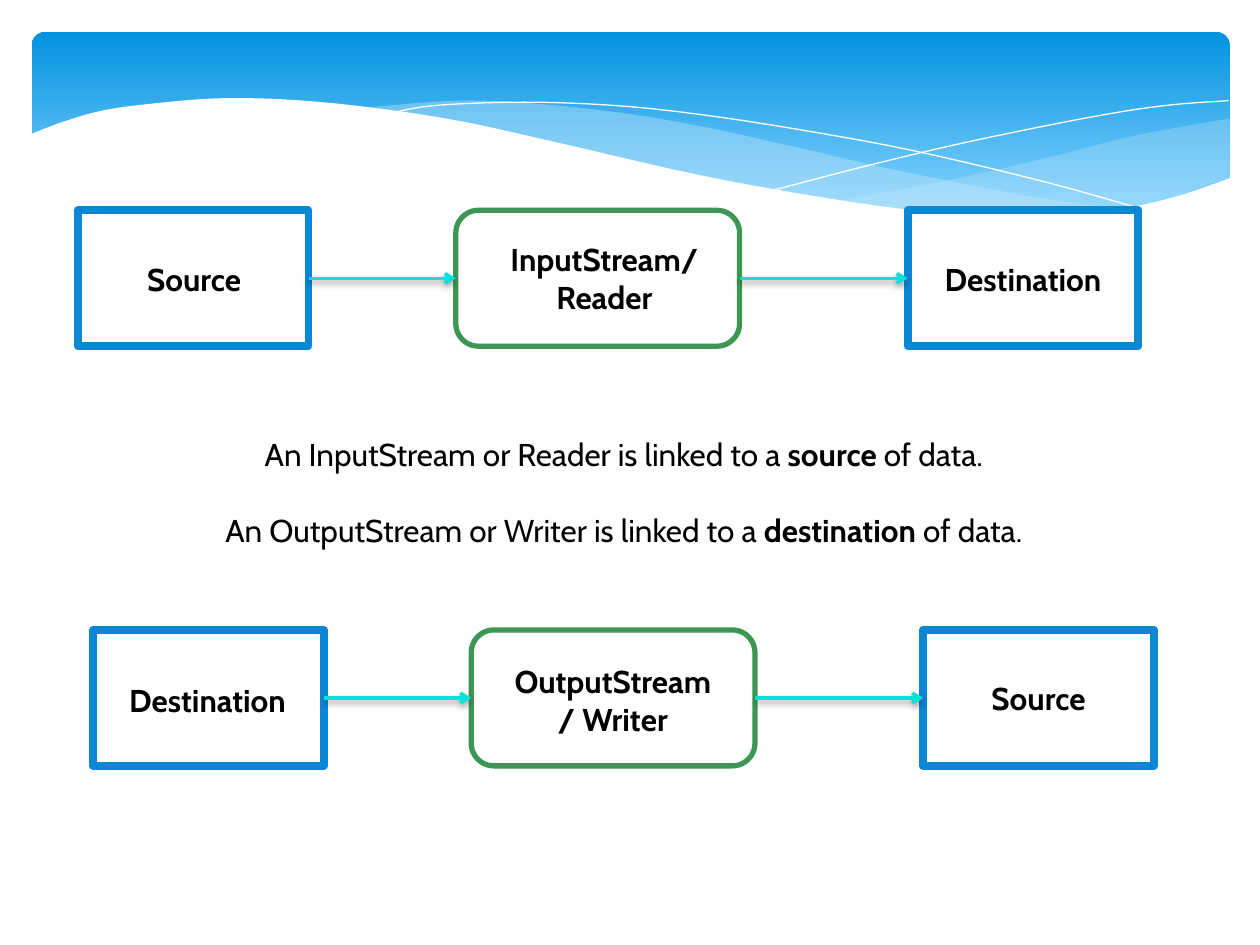
from dataclasses import dataclass

from lxml.etree import SubElement
from pptx import Presentation
from pptx.dml.color import RGBColor
from pptx.enum.shapes import MSO_CONNECTOR, MSO_SHAPE
from pptx.enum.text import MSO_AUTO_SIZE, PP_ALIGN
from pptx.oxml.ns import qn
from pptx.util import Cm, Pt

WHITE = RGBColor(0xFF, 0xFF, 0xFF)
BLACK = RGBColor(0x00, 0x00, 0x00)
SKY_TOP = RGBColor(0x02, 0x93, 0xE0)
SKY_BOTTOM = RGBColor(0x83, 0xD3, 0xFE)
MIST = RGBColor(0xC6, 0xE7, 0xFC)
BLUE = RGBColor(0x0B, 0x87, 0xD6)
GREEN = RGBColor(0x3D, 0x96, 0x53)
TURQUOISE = RGBColor(0x05, 0xE0, 0xDB)

FONT = "Cabin"
NODE_WIDTH, NODE_HEIGHT = 4.65, 2.74
STREAM_WIDTH = 5.72
STREAM_OFFSET, END_OFFSET = 7.62, 16.73

Point = tuple[float, float]


@dataclass(frozen=True)
class Wave:
    edges: list[list[Point]]
    opacity: int = 100
    color: RGBColor = MIST
    filled: bool = True


@dataclass(frozen=True)
class Label:
    text: str
    left: float
    top: float
    width: float
    height: float = 1.02


@dataclass(frozen=True)
class Flow:
    left: float
    top: float
    labels: list[Label]


WAVES = [
    Wave([[(24.79, 2.39), (23.75, 2.57), (22.63, 2.79), (21.13, 3.18),
           (19.13, 3.63), (16.79, 4.06)],
          [(16.79, 4.06), (17.91, 4.19), (19.23, 4.32), (20.68, 4.37),
           (21.92, 4.32), (23.19, 4.11), (24.79, 3.58)]], opacity=29),
    Wave([[(22.68, 4.24), (20.5, 3.91), (17.93, 3.4), (15.98, 2.95),
           (14.1, 2.54), (12.42, 2.26), (10.67, 2.08), (9.17, 2.03),
           (7.26, 2.18)],
          [(7.26, 2.18), (8.69, 2.39), (10.26, 2.69), (12.47, 3.2),
           (14.83, 3.71), (16.89, 4.09), (19, 4.32), (20.78, 4.39),
           (21.77, 4.34), (22.68, 4.24)]], opacity=40),
    Wave([[(7.85, 2.29), (8.74, 2.13), (10.57, 2.06), (12.42, 2.13),
           (14.12, 2.31), (16.15, 2.62), (18.47, 3.05), (21.11, 3.68),
           (23.04, 4.22)]], color=WHITE, filled=False),
    Wave([[(15.57, 3.84), (17.65, 3.3), (19.71, 2.82), (22, 2.36),
           (23.47, 2.13), (24.77, 2.03)]], color=WHITE, filled=False),
    Wave([[(24.82, 3.58), (23.88, 3.91), (22.83, 4.17), (21.59, 4.32),
           (20.14, 4.34), (18.44, 4.24), (16.46, 3.96), (14.1, 3.53),
           (11.35, 2.9), (9.27, 2.44), (7.42, 2.16), (5.84, 2.01),
           (4.5, 1.98), (3.35, 2.06), (2.16, 2.21), (1.32, 2.44),
           (0.58, 2.72)],
          [(0.58, 5.69), (24.82, 5.69)]], color=WHITE),
]

FLOWS = [
    Flow(1.57, 4.24, [
        Label("Source", 2.11, 5.11, 3.61),
        Label("InputStream/ Reader", 9.86, 4.72, 4.65, 1.8),
        Label("Destination", 18.57, 5.11, 4.11),
    ]),
    Flow(1.88, 12.7, [
        Label("Destination", 2.13, 13.61, 4.11),
        Label("OutputStream/ Writer", 10.03, 13.23, 4.65, 1.8),
        Label("Source", 19.13, 13.56, 3.61),
    ]),
]

SUMMARY = [
    ("An InputStream or Reader is linked to a ", "source", " of data."),
    ("An OutputStream or Writer is linked to a ", "destination", " of data."),
]


def smooth(knots: list[Point], steps: int = 5) -> list[Point]:
    if len(knots) < 3:
        return knots
    padded = [knots[0], *knots, knots[-1]]
    curve = [knots[0]]
    for a, b, c, d in zip(padded, padded[1:], padded[2:], padded[3:]):
        for step in range(1, steps + 1):
            t = step / steps
            curve.append(tuple(
                (2 * q + (r - p) * t + (2 * p - 5 * q + 4 * r - s) * t**2
                 + (3 * q - p - 3 * r + s) * t**3) / 2
                for p, q, r, s in zip(a, b, c, d)))
    return curve


def draw_header(shapes) -> None:
    header = shapes.add_shape(MSO_SHAPE.ROUNDED_RECTANGLE,
                              Cm(0.64), Cm(0.64), Cm(24.15), Cm(3.96))
    header.shadow.inherit = False
    header.adjustments[0] = 0.07
    header.line.fill.background()
    header.fill.gradient()
    header.fill.gradient_angle = 270
    stops = header.fill.gradient_stops
    for stop, color, position in zip(stops, (SKY_TOP, SKY_BOTTOM), (0, 0.9)):
        stop.color.rgb = color
        stop.position = position


def draw_wave(shapes, wave: Wave) -> None:
    outline = [(Cm(x), Cm(y)) for edge in wave.edges for x, y in smooth(edge)]
    builder = shapes.build_freeform(*outline[0])
    builder.add_line_segments(outline[1:], close=wave.filled)
    ribbon = builder.convert_to_shape()
    ribbon.shadow.inherit = False
    if not wave.filled:
        ribbon.fill.background()
        ribbon.line.color.rgb = wave.color
        ribbon.line.width = 0
        return
    ribbon.line.fill.background()
    ribbon.fill.solid()
    ribbon.fill.fore_color.rgb = wave.color
    if wave.opacity < 100:
        color = ribbon._element.spPr.find(f".//{qn('a:srgbClr')}")
        SubElement(color, qn("a:alpha"), val=str(wave.opacity * 1000))


def draw_node(shapes, kind: MSO_SHAPE, left: float, top: float, width: float,
              color: RGBColor, weight: float) -> None:
    node = shapes.add_shape(kind, Cm(left), Cm(top), Cm(width), Cm(NODE_HEIGHT))
    node.shadow.inherit = False
    node.fill.solid()
    node.fill.fore_color.rgb = WHITE
    node.line.color.rgb = color
    node.line.width = Pt(weight)


def draw_arrow(shapes, start: float, end: float, y: float) -> None:
    arrow = shapes.add_connector(MSO_CONNECTOR.STRAIGHT,
                                 Cm(start), Cm(y), Cm(end), Cm(y))
    arrow.line.color.rgb = TURQUOISE
    arrow.line.width = Pt(2)
    properties = arrow._element.spPr
    SubElement(properties.find(qn("a:ln")), qn("a:tailEnd"), type="arrow")
    effects = SubElement(properties, qn("a:effectLst"))
    shadow = SubElement(effects, qn("a:outerShdw"), blurRad=str(Pt(4)),
                        dist=str(Pt(2)), dir="5400000", rotWithShape="0")
    black = SubElement(shadow, qn("a:srgbClr"), val=str(BLACK))
    SubElement(black, qn("a:alpha"), val="38000")


def add_frame(shapes, left: float, top: float, width: float, height: float):
    frame = shapes.add_textbox(Cm(left), Cm(top), Cm(width), Cm(height)).text_frame
    frame.word_wrap = True
    frame.auto_size = MSO_AUTO_SIZE.SHAPE_TO_FIT_TEXT
    return frame


def add_run(paragraph, text: str, bold: bool) -> None:
    paragraph.alignment = PP_ALIGN.CENTER
    run = paragraph.add_run()
    run.text = text
    run.font.name = FONT
    run.font.size = Pt(18)
    run.font.bold = bold
    run.font.color.rgb = BLACK


def draw_flow(shapes, flow: Flow) -> None:
    stream_left, end_left = flow.left + STREAM_OFFSET, flow.left + END_OFFSET
    draw_node(shapes, MSO_SHAPE.ROUNDED_RECTANGLE, stream_left, flow.top,
              STREAM_WIDTH, GREEN, 3)
    for left in (end_left, flow.left):
        draw_node(shapes, MSO_SHAPE.RECTANGLE, left, flow.top, NODE_WIDTH, BLUE, 4.5)
    for label in flow.labels:
        frame = add_frame(shapes, label.left, label.top, label.width, label.height)
        add_run(frame.paragraphs[0], label.text, True)
    middle = flow.top + NODE_HEIGHT / 2
    draw_arrow(shapes, flow.left + NODE_WIDTH, stream_left, middle)
    draw_arrow(shapes, stream_left + STREAM_WIDTH, end_left, middle)


def draw_summary(shapes) -> None:
    frame = add_frame(shapes, 1.88, 8.64, 21.39, 2.57)
    for index, (opening, keyword, closing) in enumerate(SUMMARY):
        paragraph = frame.add_paragraph() if index else frame.paragraphs[0]
        paragraph.space_before = Pt(22 * index)
        add_run(paragraph, opening, False)
        add_run(paragraph, keyword, True)
        add_run(paragraph, closing, False)


def main() -> None:
    deck = Presentation()
    deck.slide_width, deck.slide_height = Cm(25.4), Cm(19.05)
    shapes = deck.slides.add_slide(deck.slide_layouts[6]).shapes
    draw_header(shapes)
    for wave in WAVES:
        draw_wave(shapes, wave)
    for flow in FLOWS:
        draw_flow(shapes, flow)
    draw_summary(shapes)
    deck.save("out.pptx")


if __name__ == "__main__":
    main()
